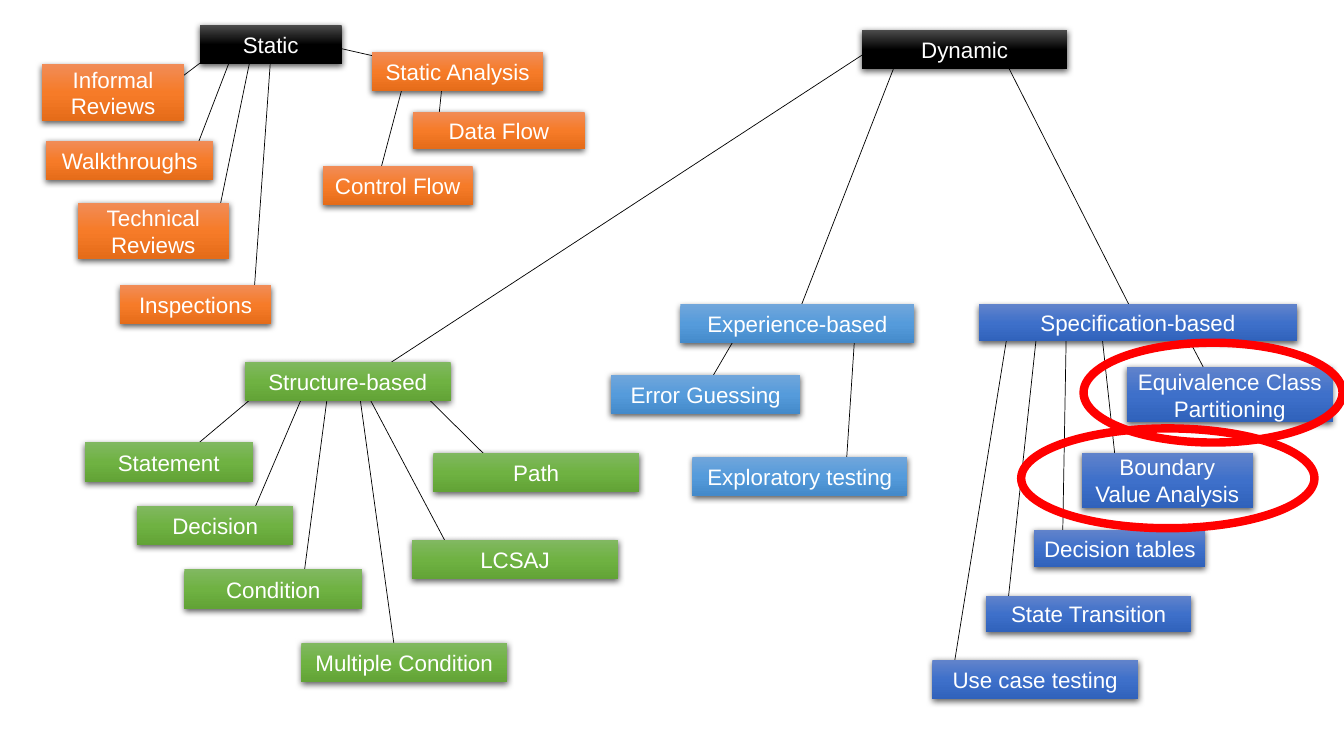
from copy import deepcopy

from lxml.etree import SubElement as Sub
from pptx import Presentation
from pptx.dml.color import RGBColor as Rgb
from pptx.enum.shapes import MSO_CONNECTOR as Link, MSO_SHAPE as Kind
from pptx.enum.text import MSO_ANCHOR as Anchor, PP_ALIGN as Align
from pptx.oxml.ns import qn
from pptx.util import Pt

COLORS = {
    "black": ("4B4B4B", "000000", "000000"),
    "orange": ("F18C57", "F67B28", "E56C19"),
    "green": ("81B861", "6FB242", "62A336"),
    "sky": ("71A6DB", "559BDB", "448ACA"),
    "blue": ("6183CB", "3E70CA", "3062BB"),
    "line": "000000",
    "shade": "000000",
    "text": "FFFFFF",
    "ring": "FF0000",
}
FRAME = {"word_wrap": True, "vertical_anchor": Anchor.MIDDLE,
         "margin_left": Pt(6.5), "margin_right": Pt(6.5),
         "margin_top": Pt(3.6), "margin_bottom": Pt(3.6)}
FONT = {"name": "Arial", "size": Pt(16), "color.rgb": Rgb.from_string(COLORS["text"])}

# Each node: text, (x, y, width, height), link (x1, y1, x2, y2); all relative to the region
ROOTS = [
    ("Static", (0, 0, 101.5, 28), None),
    ("Dynamic", (473, 3.6, 146.9, 28), None),
]
STATIC = [
    ("Informal\nReviews", (0, 28, 101.5, 40.3), (130.5, 13.7, 83, 49.7)),
    ("Walkthroughs", (3, 82.8, 119.5, 28), (135.6, 21.6, 106.8, 96.5)),
    ("Technical Reviews", (25.5, 126.7, 108, 40.3), (149.3, 21.6, 126.2, 133.9)),
    ("Inspections", (55.7, 185.8, 108, 28), (163, 28, 151.4, 192.2)),
    ("Static Analysis", (235.7, 19.4, 122.4, 28), (200.4, 13.7, 279.6, 31.7)),
    ("Data Flow", (265.2, 61.9, 122.4, 26.6), (286.1, 39.6, 282.5, 74.9)),
    ("Control Flow", (200.4, 100.8, 107.3, 28), (258.7, 39.6, 240, 110.2)),
]
STRUCTURE = [
    ("Structure-based", (115, 0.5, 146.9, 28), (568.6, -227, 214.3, 4.1)),
    ("Statement", (0.5, 58.1, 120.2, 28), (129.4, 18.5, 70.3, 68.2)),
    ("Decision", (37.9, 103.4, 111.6, 28), (158.9, 18.5, 118.6, 112.8)),
    ("Condition", (71.8, 148.8, 126.7, 28), (174.7, 18.5, 157.4, 150.2)),
    ("Multiple Condition", (155.3, 201.4, 146.9, 28), (196.3, 19.9, 223, 213.6)),
    ("LCSAJ", (234.5, 127.9, 146.9, 28), (198.5, 16.3, 261.1, 134.4)),
    ("Path", (249.6, 65.3, 146.9, 28), (230.2, 11.3, 299.3, 79.7)),
]
EXPERT = [
    ("Experience-based", (50, 0.4, 167, 28), (204.8, -174.5, 128.5, 21.3)),
    ("Error Guessing", (0.3, 50.8, 135.4, 28), (89.6, 23.5, 59.4, 75.3)),
    ("Exploratory testing", (58.6, 109.2, 153.4, 28), (175.3, 11.2, 168.1, 120.7)),
]
SPEC = [
    ("Specification-based", (33.1, 0.4, 227.5, 26.6), (53.3, -170.9, 146.9, 13.4)),
    ("Equivalence Class Partitioning", (139, 45.1, 146.9, 39.6), (176.4, 12.7, 205.9, 68.8)),
    ("Boundary Value Analysis", (106.6, 106.3, 122.4, 39.6), (121, 21.3, 131.8, 121.4)),
    ("Decision tables", (72.7, 161.7, 122.4, 26.6), (95.8, 11.2, 92.9, 175.4)),
    ("State Transition", (38.2, 208.5, 146.9, 26), (75.6, 11.2, 52.6, 225.8)),
    ("Use case testing", (0, 254.6, 146.9, 28), (54.7, 14.8, 15.8, 256)),
]
RINGS = [(63.4, 89, 209.5, 71.3), (108, 27.8, 185, 71.3)]

# Region: left and top, tone, nodes
REGIONS = [
    ((30, 18), "orange", STATIC),
    ((142.6, 18), "black", ROOTS),
    ((436, 217), "sky", EXPERT),
    ((666, 217), "blue", SPEC),
    ((60, 258), "green", STRUCTURE),
]


def apply(item, values):
    for name, value in values.items():
        *heads, last = name.split(".")
        target = item
        for head in heads:
            target = getattr(target, head)
        setattr(target, last, value)


def place(shapes, kind, box, rect):
    x, y, wide, high = rect
    shape = shapes.add_shape(kind, Pt(box[0] + x), Pt(box[1] + y), Pt(wide), Pt(high))
    shape.shadow.inherit = False
    return shape


def tint(fill, tone):
    fill.gradient()
    fill.gradient_angle = 270
    first = fill.gradient_stops[0]._gs
    first.addnext(deepcopy(first))
    for stop, spot, color in zip(fill.gradient_stops, (0, 0.5, 1), COLORS[tone]):
        stop.position = spot
        stop.color.rgb = Rgb.from_string(color)


def shade(shape):
    effect = shape._element.spPr.find(qn("a:effectLst"))
    outer = Sub(effect, qn("a:outerShdw"), blurRad=str(Pt(4.5)), dist=str(Pt(1.5)),
                dir="5400000", algn="ctr", rotWithShape="0")
    color = Sub(outer, qn("a:srgbClr"), val=COLORS["shade"])
    Sub(color, qn("a:alpha"), val="63000")


def draw_links(shapes, box, nodes):
    left, top = box
    for _, _, link in nodes:
        if link:
            x1, y1, x2, y2 = link
            line = shapes.add_connector(Link.STRAIGHT, Pt(left + x1), Pt(top + y1),
                                        Pt(left + x2), Pt(top + y2))
            apply(line.line, {"width": Pt(0.5),
                              "color.rgb": Rgb.from_string(COLORS["line"])})
            Sub(line._element.spPr, qn("a:effectLst"))


def draw_nodes(shapes, box, tone, nodes):
    for text, rect, _ in nodes:
        node = place(shapes, Kind.RECTANGLE, box, rect)
        tint(node.fill, tone)
        node.line.fill.background()
        shade(node)
        apply(node.text_frame, FRAME)
        node.text_frame.text = text
        for para in node.text_frame.paragraphs:
            para.alignment = Align.CENTER
            for run in para.runs:
                apply(run.font, FONT)


def draw_rings(shapes, box):
    for rect in RINGS:
        ring = place(shapes, Kind.OVAL, box, rect)
        ring.fill.background()
        apply(ring.line, {"width": Pt(6), "color.rgb": Rgb.from_string(COLORS["ring"])})


def main():
    deck = Presentation()
    apply(deck, {"slide_width": Pt(960), "slide_height": Pt(540)})
    shapes = deck.slides.add_slide(deck.slide_layouts[6]).shapes
    # Links lie behind every node
    for box, _, nodes in REGIONS:
        draw_links(shapes, box, nodes)
    for box, tone, nodes in REGIONS:
        draw_nodes(shapes, box, tone, nodes)
    # Rings mark two of the specification-based techniques
    draw_rings(shapes, (666, 217))
    deck.save("out.pptx")


if __name__ == "__main__":
    main()
